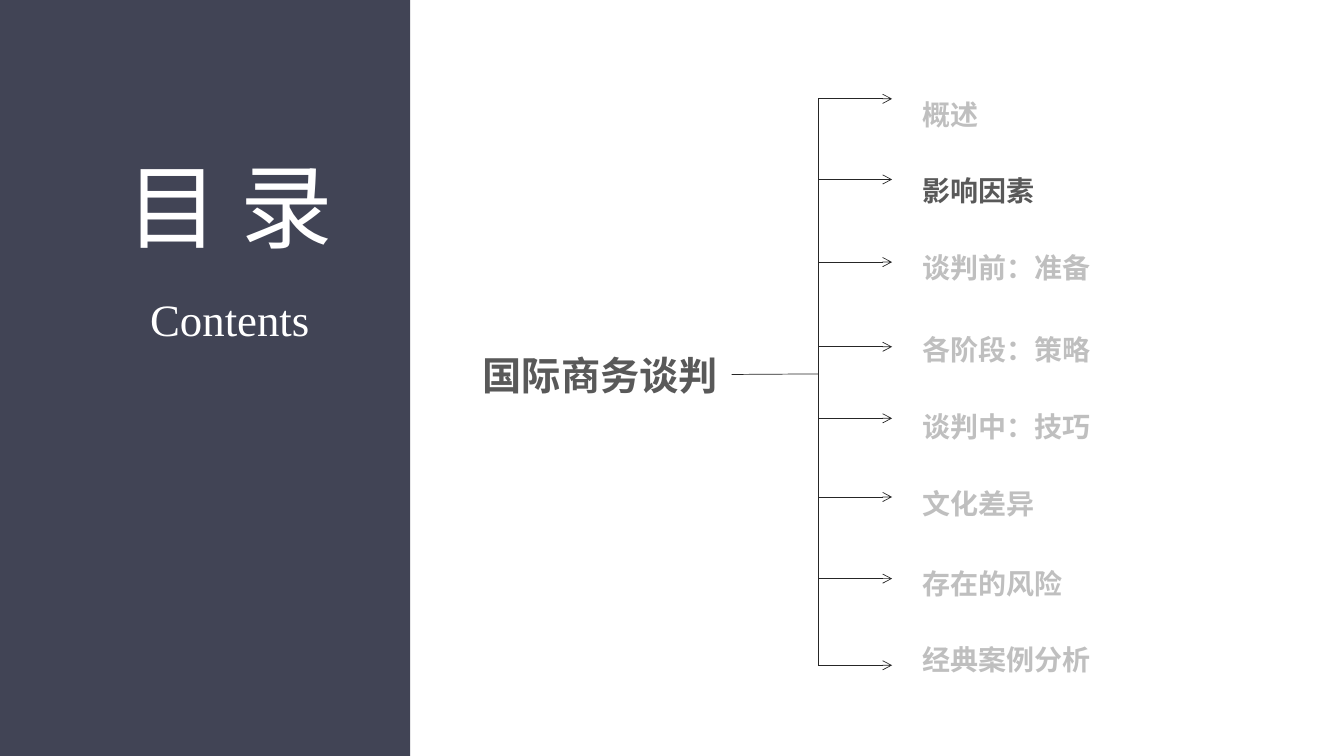
from pptx import Presentation
from pptx.dml.color import RGBColor
from pptx.enum.shapes import MSO_CONNECTOR, MSO_SHAPE
from pptx.enum.text import MSO_ANCHOR, MSO_AUTO_SIZE, PP_ALIGN
from pptx.oxml.ns import qn
from pptx.util import Pt
from lxml.etree import SubElement

NAVY = RGBColor(0x41, 0x44, 0x55)
WHITE = RGBColor(0xFF, 0xFF, 0xFF)
DARK = RGBColor(0x59, 0x59, 0x59)
PALE = RGBColor(0xBF, 0xBF, 0xBF)
INK = RGBColor(0x26, 0x26, 0x26)
HAN = "Noto Sans CJK SC"

TRUNK_X = 584.6
TIP_X = 637.2
LABEL_X = 653.8

# Text, label top, label width, arrow height, colour, anchor
TOPICS = [
    ("概述", 56.9, 157.7, 70.6, PALE, MSO_ANCHOR.MIDDLE),
    ("影响因素", 110.9, 226, 128.2, DARK, MSO_ANCHOR.MIDDLE),
    ("谈判前：准备", 166.3, 226, 187.2, PALE, MSO_ANCHOR.MIDDLE),
    ("各阶段：策略", 224.6, 272.9, 247.7, PALE, MSO_ANCHOR.MIDDLE),
    ("谈判中：技巧", 280.1, 226, 298.8, PALE, MSO_ANCHOR.MIDDLE),
    ("文化差异", 332.6, 95, 355, PALE, MSO_ANCHOR.TOP),
    ("存在的风险", 391.7, 226, 413.3, PALE, MSO_ANCHOR.MIDDLE),
    ("经典案例分析", 444.2, 264.2, 475.2, PALE, MSO_ANCHOR.TOP),
]


def place(shape, left, top, width, height):
    shape.left, shape.top = Pt(left), Pt(top)
    shape.width, shape.height = Pt(width), Pt(height)


def write(shape, text, size, color, face=HAN, bold=False,
          align=PP_ALIGN.CENTER, anchor=MSO_ANCHOR.TOP, wrap=False):
    frame = shape.text_frame
    frame.word_wrap = wrap
    frame.auto_size = MSO_AUTO_SIZE.SHAPE_TO_FIT_TEXT
    frame.vertical_anchor = anchor
    para = frame.paragraphs[0]
    para.alignment = align
    run = para.add_run()
    run.text = text
    font = run.font
    font.size, font.bold, font.name = Pt(size), bold, face
    font.color.rgb = color
    # East Asian typeface
    SubElement(font._element, qn("a:ea")).set("typeface", HAN)
    return para


def add_rect(slide, left, top, width, height, color):
    rect = slide.shapes.add_shape(
        MSO_SHAPE.RECTANGLE, Pt(left), Pt(top), Pt(width), Pt(height))
    rect.shadow.inherit = False
    rect.fill.solid()
    rect.fill.fore_color.rgb = color
    rect.line.fill.background()
    return rect


def add_box(slide, left, top, width, height):
    return slide.shapes.add_textbox(Pt(left), Pt(top), Pt(width), Pt(height))


def add_line(slide, x1, y1, x2, y2, arrow=False):
    line = slide.shapes.add_connector(
        MSO_CONNECTOR.STRAIGHT, Pt(x1), Pt(y1), Pt(x2), Pt(y2))
    line.line.color.rgb = INK
    line.line.width = Pt(0.5)
    if arrow:
        SubElement(line.line._get_or_add_ln(), qn("a:tailEnd")).set("type", "arrow")
    SubElement(line._element.spPr, qn("a:effectLst"))
    return line


def add_label(slide, text, top, width, color, anchor):
    box = add_box(slide, LABEL_X, top, width, 37.4)
    para = write(box, text, 20, color, "Roboto", True, PP_ALIGN.LEFT, anchor, True)
    para.line_spacing = 1.5
    frame = box.text_frame
    frame.margin_left = frame.margin_right = Pt(5)
    frame.margin_top = frame.margin_bottom = Pt(3)


def main():
    deck = Presentation()
    deck.slide_width, deck.slide_height = Pt(960), Pt(540)
    slide = deck.slides.add_slide(deck.slide_layouts[5])

    # Side panel, behind the title
    title = slide.shapes.title
    panel = add_rect(slide, 0, 0, 293, 540, NAVY)
    title.element.addprevious(panel.element)
    place(title, 73.4, 103, 181.4, 87.1)
    write(title, "目 录", 66, WHITE)
    write(add_box(slide, 99.4, 204.5, 129.6, 46), "Contents", 32, WHITE,
          "Times New Roman")

    # Root of the tree
    root = add_rect(slide, 334.8, 243.4, 187.9, 48.2, WHITE)
    write(root, "国际商务谈判", 28, DARK, bold=True, anchor=MSO_ANCHOR.MIDDLE)
    stem = add_line(slide, 522.7, 267.5, TRUNK_X, 267.1)
    stem.begin_connect(root, 3)

    # Trunk and branches
    add_line(slide, TRUNK_X, TOPICS[0][3], TRUNK_X, TOPICS[-1][3])
    for text, top, width, y, color, anchor in TOPICS:
        add_line(slide, TRUNK_X, y, TIP_X, y, arrow=True)
        add_label(slide, text, top, width, color, anchor)

    deck.save("out.pptx")


if __name__ == "__main__":
    main()
